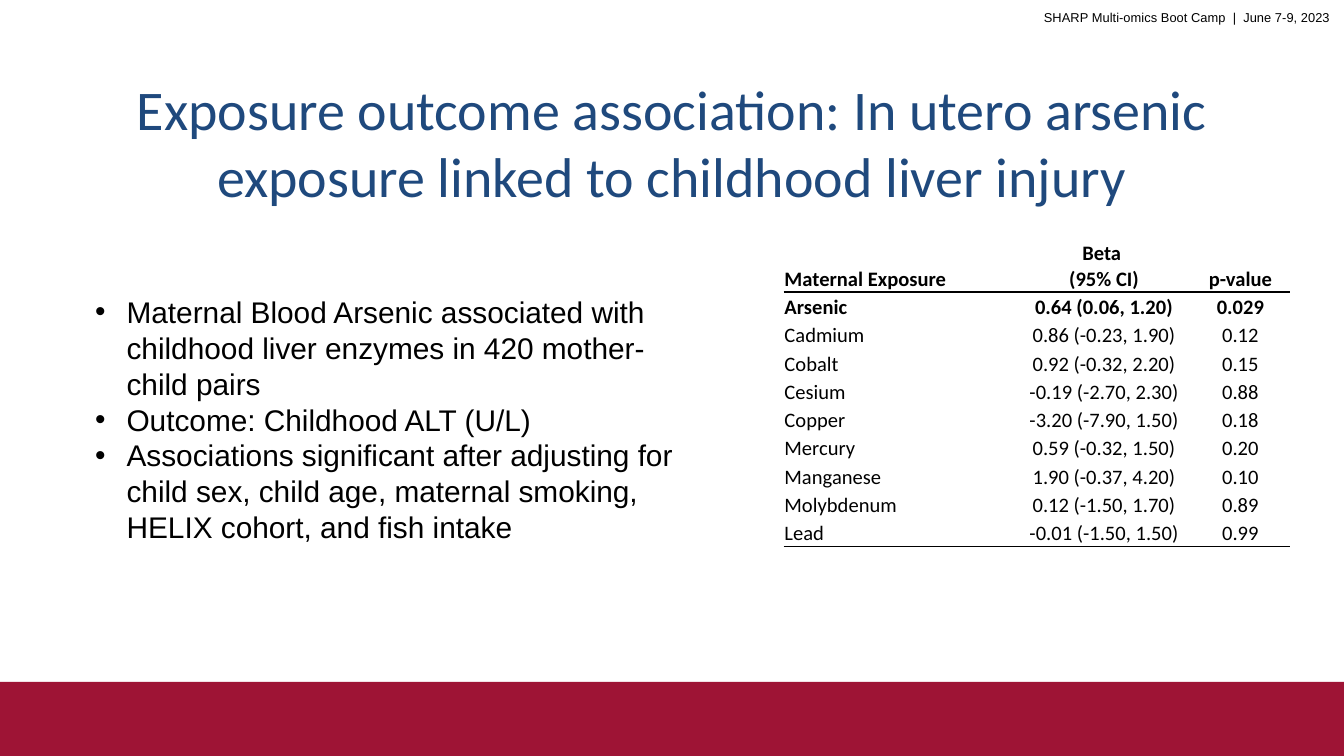
from lxml import etree
from pptx import Presentation
from pptx import util as u
from pptx.dml.color import RGBColor
from pptx.enum import shapes, text
from pptx.oxml import ns

CRIMSON = RGBColor(0x9E, 0x14, 0x35)
NAVY = RGBColor(0x1F, 0x49, 0x7D)
BLACK = RGBColor(0, 0, 0)
WHITE = RGBColor(255, 255, 255)
LEFT, CENTER, RIGHT = text.PP_ALIGN.LEFT, text.PP_ALIGN.CENTER, text.PP_ALIGN.RIGHT

prs = Presentation()
prs.slide_width = u.Inches(10)
prs.slide_height = prs.slide_width * 9 // 16
COL, ROW = prs.slide_width / 100, prs.slide_height / 100
s = prs.slides.add_slide(prs.slide_layouts[6])


def write(tf, content, size=16, font="Arial", color=BLACK, bold=False, align=LEFT, bullet=False, baseline=None):
    for i, line in enumerate(content.split("\n")):
        p = tf.paragraphs[0] if i == 0 else tf.add_paragraph()
        p.alignment = align
        if bullet:
            pPr = p._p.get_or_add_pPr()
            pPr.set("marL", str(int(2.34 * COL)))
            pPr.set("indent", str(int(-2.34 * COL)))
            etree.SubElement(pPr, ns.qn("a:buFont")).set("typeface", "Arial")
            etree.SubElement(pPr, ns.qn("a:buChar")).set("char", "•")
        r = p.add_run()
        r.text = line
        r.font.size, r.font.name, r.font.bold = u.Pt(size), font, bold
        r.font.color.rgb = color
        if baseline:
            r.font._element.set("baseline", str(baseline * 1000))


def set_borders(cell, ruled):
    tcPr = cell._tc.get_or_add_tcPr()
    for i, side in enumerate(("lnL", "lnR", "lnT", "lnB")):
        ln = etree.Element(ns.qn("a:" + side), w=str(u.Pt(1)))
        if side in ruled:
            fill = etree.SubElement(ln, ns.qn("a:solidFill"))
            etree.SubElement(fill, ns.qn("a:srgbClr")).set("val", str(BLACK))
        else:
            etree.SubElement(ln, ns.qn("a:noFill"))
        tcPr.insert(i, ln)


bar = s.shapes.add_shape(shapes.MSO_SHAPE.RECTANGLE, 0, int(90.2 * ROW), int(100.1 * COL), int(10.1 * ROW))
bar.shadow.inherit = False
bar.fill.solid()
bar.fill.fore_color.rgb = CRIMSON
bar.line.fill.background()

boxes = [
    (60.4, 0, 39.6, 4.3, "SHARP Multi-omics Boot Camp  |  June 7-9, 2023",
     dict(size=12, align=RIGHT, baseline=30)),
    (8.95, 9, 82.1, 23.7,
     "Exposure outcome association: In utero arsenic exposure linked to childhood liver injury",
     dict(size=30, font="Calibri", color=NAVY, align=CENTER)),
    (6.1, 38, 46.5, 35.4,
     "Maternal Blood Arsenic associated with childhood liver enzymes in 420 mother-child pairs\n"
     "Outcome: Childhood ALT (U/L)\n"
     "Associations significant after adjusting for child sex, child age, maternal smoking, "
     "HELIX cohort, and fish intake",
     dict(bullet=True)),
]
for x, y, w, h, content, fmt in boxes:
    sp = s.shapes.add_textbox(int(x * COL), int(y * ROW), int(w * COL), int(h * ROW))
    tf = sp.text_frame
    tf.word_wrap = True
    write(tf, content, **fmt)

results = [
    ("Maternal Exposure", "Beta \n(95% CI)", "p-value"),
    ("Arsenic", "0.64 (0.06, 1.20)", "0.029"),
    ("Cadmium", "0.86 (-0.23, 1.90)", "0.12"),
    ("Cobalt", "0.92 (-0.32, 2.20)", "0.15"),
    ("Cesium", "-0.19 (-2.70, 2.30)", "0.88"),
    ("Copper", "-3.20 (-7.90, 1.50)", "0.18"),
    ("Mercury", "0.59 (-0.32, 1.50)", "0.20"),
    ("Manganese", "1.90 (-0.37, 4.20)", "0.10"),
    ("Molybdenum", "0.12 (-1.50, 1.70)", "0.89"),
    ("Lead", "-0.01 (-1.50, 1.50)", "0.99"),
]
rules = {0: ("lnB",), 1: ("lnT",), len(results) - 1: ("lnB",)}
frame = s.shapes.add_table(len(results), 3, int(58.3 * COL), int(31.3 * ROW), int(37.7 * COL), int(41.1 * ROW))
table = frame.table
table.first_row = table.horz_banding = False
table._tbl.tblPr.find(ns.qn("a:tableStyleId")).text = "{2D5ABB26-0587-4C30-8999-92F81FD0307C}"
for column, w in zip(table.columns, (17.4, 12.9, 7.4)):
    column.width = int(w * COL)
for i, result in enumerate(results):
    table.rows[i].height = int((7.3 if i == 0 else 3.75) * ROW)
    for j, content in enumerate(result):
        cell = table.cell(i, j)
        cell.margin_left = cell.margin_right = cell.margin_top = int(0.07 * COL)
        cell.margin_bottom = 0
        cell.vertical_anchor = text.MSO_ANCHOR.BOTTOM
        cell.fill.solid()
        cell.fill.fore_color.rgb = WHITE
        write(cell.text_frame, content, size=11, font="Calibri", bold=i < 2, align=CENTER if j else LEFT)
        set_borders(cell, rules.get(i, ()))

prs.save("out.pptx")
